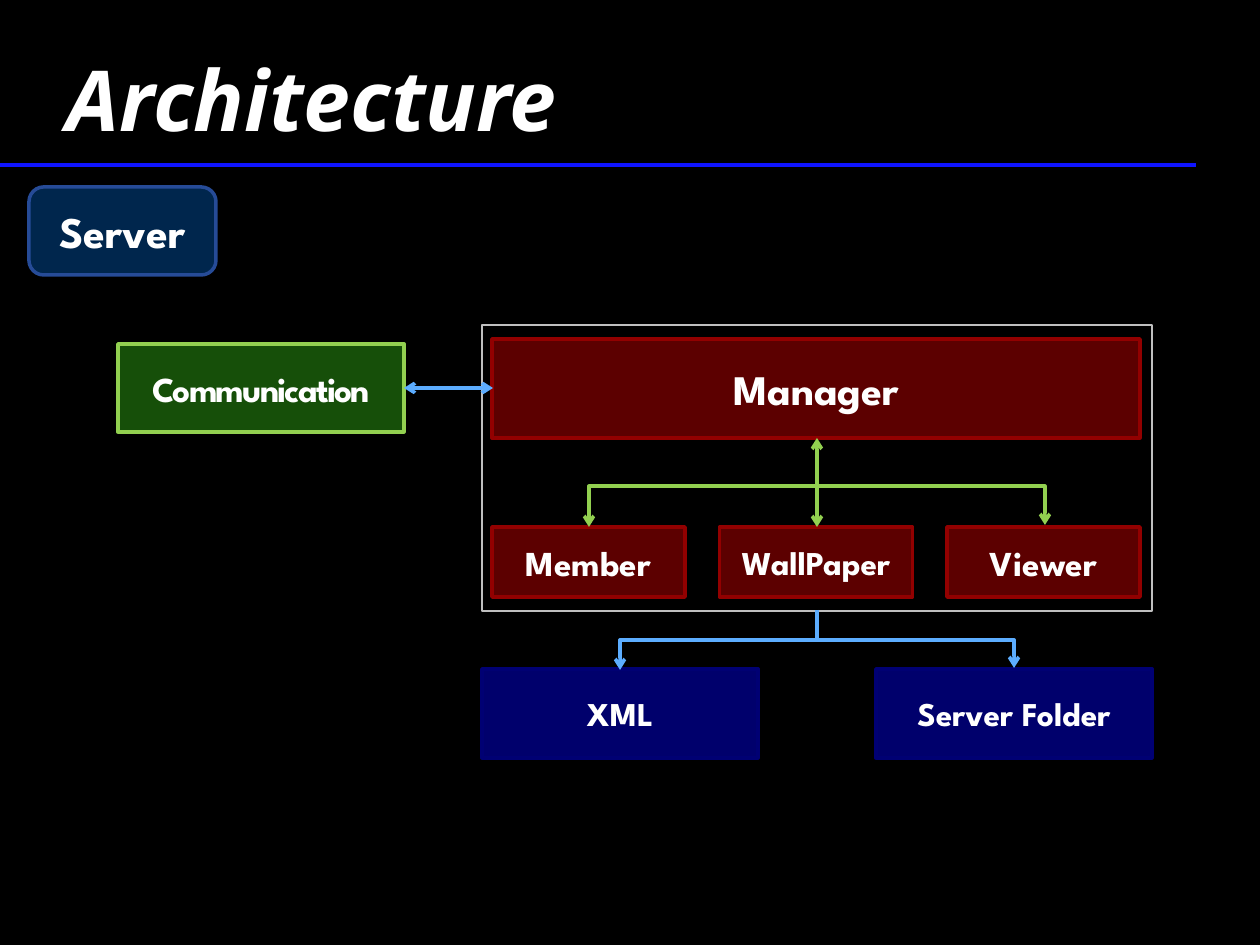
"""Build the server architecture slide."""
import pptx
import pptx.util
import pptx.dml.color
import pptx.enum.shapes
import pptx.enum.text
import pptx.oxml.ns
import lxml.etree

PX = 914400 / 126
SHAPE = pptx.enum.shapes.MSO_SHAPE
CONNECTOR = pptx.enum.shapes.MSO_CONNECTOR
COLORS = {
    "background": "000000", "text": "FFFFFF", "rule": "0F14FF", "frame": "BFBFBF",
    "module": "5C0000", "module_edge": "920000",
    "communication": "164F09", "communication_edge": "92D050",
    "storage": "00006C", "storage_edge": "000073",
    "server": "00264D", "server_edge": "264B97",
    "module_link": "92D050", "outer_link": "5CADFF",
}


def px(length):
    """Turn pixels into EMU."""
    return pptx.util.Emu(round(length * PX))


def rgb(name):
    """Look up a named colour."""
    return pptx.dml.color.RGBColor.from_string(COLORS[name])


def add_run(frame, text, size, font="League Spartan", italic=False):
    """Add one bold white run to the first paragraph."""
    run = frame.paragraphs[0].add_run()
    run.text = text
    run.font.name = font
    run.font.size = pptx.util.Pt(size)
    run.font.bold = True
    run.font.italic = italic
    run.font.color.rgb = rgb("text")
    return run


def add_box(slide, box, kind, label, size, preset=SHAPE.RECTANGLE):
    """Draw a labelled box in the colours of its kind and return its run."""
    block = slide.shapes.add_shape(preset, *map(px, box))
    block.shadow.inherit = False
    block.fill.solid()
    block.fill.fore_color.rgb = rgb(kind)
    block.line.color.rgb = rgb(kind + "_edge")
    block.line.width = pptx.util.Pt(2)
    frame = block.text_frame
    frame.word_wrap = False
    frame.vertical_anchor = pptx.enum.text.MSO_ANCHOR.MIDDLE
    frame.paragraphs[0].alignment = pptx.enum.text.PP_ALIGN.CENTER
    return add_run(frame, label, size)


def add_link(slide, start, end, color, arrows=True, kind=CONNECTOR.STRAIGHT):
    """Draw a shadowless connector, with arrowheads at both ends if asked."""
    link = slide.shapes.add_connector(kind, *map(px, (*start, *end)))
    link.line.color.rgb = rgb(color)
    link.line.width = pptx.util.Pt(2)
    qn = pptx.oxml.ns.qn
    if arrows:
        outline = link.line._get_or_add_ln()
        for tag in ("a:headEnd", "a:tailEnd"):
            lxml.etree.SubElement(outline, qn(tag)).set("type", "arrow")
    properties = link._element.spPr
    lxml.etree.SubElement(properties, qn("a:effectLst"))
    return properties


def add_fork(slide, center, foot, half_span, rise, color):
    """Draw a bracket that rises from two feet to a shared bar."""
    thickness = 2
    properties = add_link(
        slide, (center + thickness / 2, foot + half_span),
        (center - thickness / 2, foot - half_span), color, kind=CONNECTOR.ELBOW)
    properties.find(pptx.oxml.ns.qn("a:xfrm")).set("rot", "5400000")
    guides = properties.find(pptx.oxml.ns.qn("a:prstGeom")).get_or_add_avLst()
    guide = lxml.etree.SubElement(guides, pptx.oxml.ns.qn("a:gd"))
    guide.set("name", "adj1")
    guide.set("fmla", f"val {round(rise / thickness * 100000)}")


def add_header(slide, left, top, width, height):
    """Place the title and the rule below it."""
    title = slide.shapes.title
    title.left, title.top, title.width, title.height = map(px, (left, top, width, height))
    frame = title.text_frame
    frame.auto_size = pptx.enum.text.MSO_AUTO_SIZE.NONE
    frame.vertical_anchor = pptx.enum.text.MSO_ANCHOR.MIDDLE
    frame.margin_left = px(34)
    frame.paragraphs[0].alignment = pptx.enum.text.PP_ALIGN.LEFT
    add_run(frame, "Architecture", 48, "Open Sans", italic=True)
    rule_y = top + height + 8
    add_link(slide, (0, rule_y), (1196, rule_y), "rule", arrows=False)


def add_modules(slide, left, top, width, height):
    """Place the framed manager with its three modules."""
    frame = slide.shapes.add_shape(SHAPE.RECTANGLE, *map(px, (left, top, width, height)))
    frame.shadow.inherit = False
    frame.fill.background()
    frame.line.color.rgb = rgb("frame")
    frame.line.width = pptx.util.Pt(1.5)
    inner_left, inner_width, module_width = left + 10, 648, 193
    pitch = (inner_width - module_width) / 2
    manager_bottom, module_top = top + 113, top + 202
    for column, (label, size) in enumerate(
            (("Member", 20), ("WallPaper", 19), ("Viewer", 20))):
        add_box(slide, (inner_left + column * pitch, module_top, module_width, 70),
                "module", label, size)
    add_box(slide, (inner_left, top + 14, inner_width, 99), "module", "Manager", 24)
    center = left + width / 2
    add_fork(slide, center, module_top - 1, 228, 41, "module_link")
    add_link(slide, (center, manager_bottom), (center, module_top), "module_link")


def add_storage(slide, left, top, width, height):
    """Place the two stores and the branch that leads to them."""
    store_width, stem_top, bar_y = 276, top - 59, top - 30
    center = left + width / 2
    for store_left, label in ((left, "XML"), (left + width - store_width, "Server Folder")):
        add_box(slide, (store_left, top, store_width, height), "storage", label, 19)
    add_fork(slide, center, top, (width - store_width) / 2, top - bar_y, "outer_link")
    add_link(slide, (center, stem_top), (center, bar_y), "outer_link", arrows=False)


def add_communication(slide, left, top, width, height):
    """Place the communication box and its link to the manager."""
    run = add_box(slide, (left, top, width, height), "communication", "Communication", 20)
    run.font._element.set("spc", "-100")
    right, middle = left + width, top + height / 2
    add_link(slide, (right, middle), (right + 89, middle), "outer_link")


def main():
    """Assemble and save the slide."""
    deck = pptx.Presentation()
    deck.slide_width, deck.slide_height = px(1260), px(945)
    slide = deck.slides.add_slide(deck.slide_layouts[5])
    slide.background.fill.solid()
    slide.background.fill.fore_color.rgb = rgb("background")
    add_header(slide, 33, 39, 874, 118)
    add_modules(slide, 482, 325, 670, 286)
    add_communication(slide, 118, 344, 286, 88)
    add_storage(slide, 482, 669, 670, 89)
    add_box(slide, (29, 187, 187, 88), "server", "Server", 25, SHAPE.ROUNDED_RECTANGLE)
    deck.save("out.pptx")


if __name__ == "__main__":
    main()
